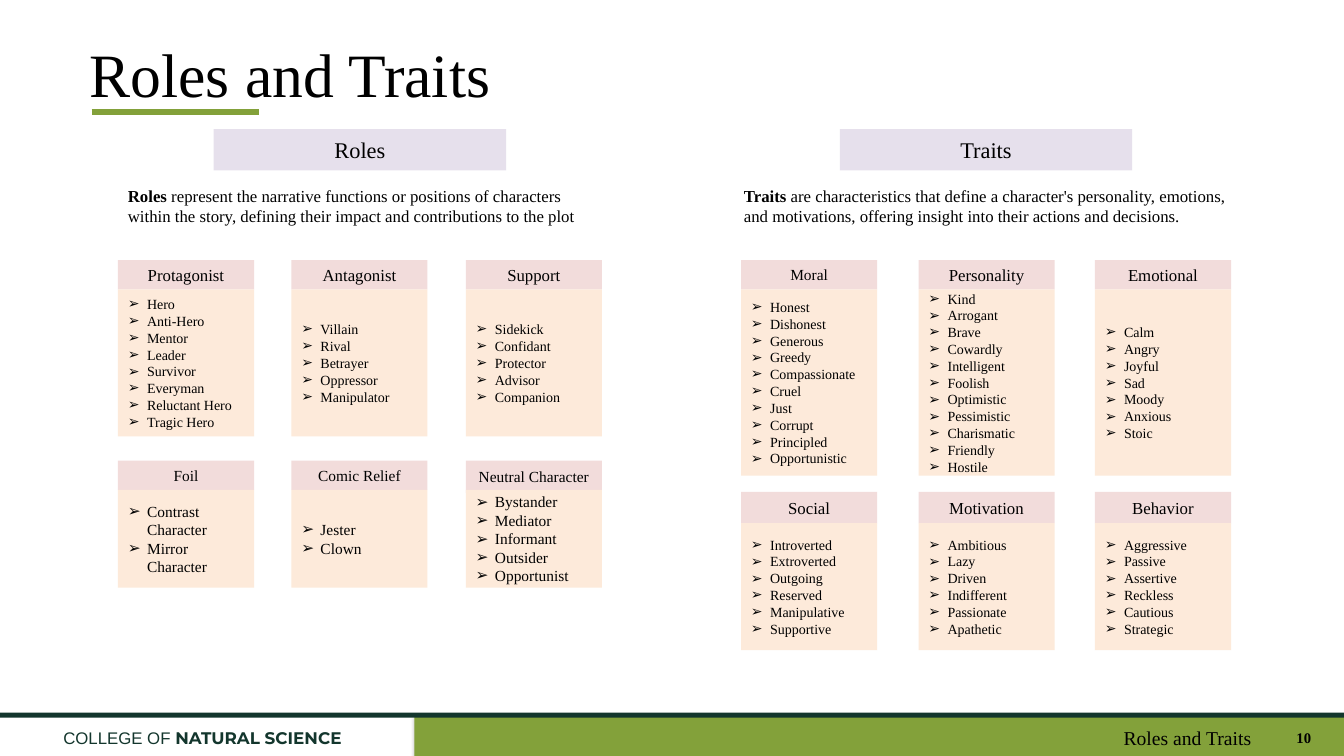
from dataclasses import dataclass

from lxml import etree
from pptx import Presentation
from pptx import util as u
from pptx.dml.color import RGBColor
from pptx.enum import shapes, text
from pptx.oxml import parse_xml
from pptx.oxml.ns import nsdecls, qn
from pptx.shapes.autoshape import Shape
from pptx.text.text import _Paragraph as Paragraph

PX = 9144  # EMU, 100 px to the inch

BLACK = RGBColor(0x00, 0x00, 0x00)
GREEN = RGBColor(0x83, 0xA1, 0x3A)
DARK_GREEN = RGBColor(0x13, 0x36, 0x2D)
LILAC = RGBColor(0xE6, 0xE0, 0xEC)
ROSE = RGBColor(0xF2, 0xDC, 0xDB)
PEACH = RGBColor(0xFD, 0xEA, 0xDA)

SERIF = "Times New Roman"
LEFT, CENTER, RIGHT = text.PP_ALIGN.LEFT, text.PP_ALIGN.CENTER, text.PP_ALIGN.RIGHT
TOP, MIDDLE = text.MSO_ANCHOR.TOP, text.MSO_ANCHOR.MIDDLE
CARD_WIDTH = 135
BULLET_INDENT = 19

Box = tuple[int, int, int, int]


@dataclass(frozen=True)
class Card:
    title: str
    items: str
    title_size: int = 12
    item_size: int = 10
    head_extra: int = 0


@dataclass(frozen=True)
class Row:
    top: int
    head: int
    body: int
    cards: tuple[Card, ...]


@dataclass(frozen=True)
class Section:
    name: str
    definition: str
    banner_left: int
    definition_box: Box
    first_left: int
    last_left: int
    rows: tuple[Row, ...]


SECTIONS = (
    Section(
        "Roles",
        " represent the narrative functions or positions of characters within the story, "
        "defining their impact and contributions to the plot",
        212, (117, 179, 480, 50), 117, 462,
        (
            Row(258, 29, 146, (
                Card("Protagonist", "Hero|Anti-Hero|Mentor|Leader|Survivor|Everyman|"
                     "Reluctant Hero|Tragic Hero"),
                Card("Antagonist", "Villain|Rival|Betrayer|Oppressor|Manipulator"),
                Card("Support", "Sidekick|Confidant|Protector|Advisor|Companion"),
            )),
            Row(457, 29, 97, (
                Card("Foil", "Contrast Character|Mirror Character", 11, 11),
                Card("Comic Relief", "Jester|Clown", 11, 11),
                Card("Neutral Character", "Bystander|Mediator|Informant|Outsider|Opportunist",
                     11, 11, head_extra=3),
            )),
        ),
    ),
    Section(
        "Traits",
        " are characteristics that define a character's personality, emotions, and "
        "motivations, offering insight into their actions and decisions.",
        833, (728, 179, 500, 71), 735, 1086,
        (
            Row(258, 29, 185, (
                Card("Moral", "Honest|Dishonest|Generous|Greedy|Compassionate|Cruel|Just|"
                     "Corrupt|Principled|Opportunistic", 11),
                Card("Personality", "Kind|Arrogant|Brave|Cowardly|Intelligent|Foolish|"
                     "Optimistic|Pessimistic|Charismatic|Friendly|Hostile"),
                Card("Emotional", "Calm|Angry|Joyful|Sad|Moody|Anxious|Stoic"),
            )),
            Row(488, 31, 126, (
                Card("Social", "Introverted|Extroverted|Outgoing|Reserved|Manipulative|"
                     "Supportive"),
                Card("Motivation", "Ambitious|Lazy|Driven|Indifferent|Passionate|Apathetic"),
                Card("Behavior", "Aggressive|Passive|Assertive|Reckless|Cautious|Strategic"),
            )),
        ),
    ),
)

deck = Presentation()
deck.slide_width, deck.slide_height = u.Inches(13.33), u.Inches(7.5)
page = deck.slides.add_slide(deck.slide_layouts[6])


def emu(box: Box) -> list[u.Emu]:
    return [u.Emu(length * PX) for length in box]


def add_span(para: Paragraph, words: str, *, size: float, font: str = SERIF,
             color: RGBColor = BLACK, bold: bool = False) -> None:
    span = para.add_run()
    span.text = words
    span.font.size, span.font.name, span.font.bold = u.Pt(size), font, bold
    span.font.color.rgb = color


def add_rect(box: Box, fill: RGBColor) -> Shape:
    rect = page.shapes.add_shape(shapes.MSO_SHAPE.RECTANGLE, *emu(box))
    rect.shadow.inherit = False
    rect.fill.solid()
    rect.fill.fore_color.rgb = fill
    rect.line.fill.background()
    return rect


def add_text_box(box: Box, *, align: text.PP_ALIGN = LEFT, anchor: text.MSO_ANCHOR = TOP,
                 tight: bool = False) -> Paragraph:
    """Add a wrapping text box and return its empty first paragraph."""
    frame = page.shapes.add_textbox(*emu(box)).text_frame
    frame.word_wrap = True
    frame.vertical_anchor = anchor
    if tight:
        frame.margin_left = frame.margin_right = 4 * PX
        frame.margin_top = frame.margin_bottom = 2 * PX
    para = frame.paragraphs[0]
    para.alignment = align
    return para


def add_label(box: Box, fill: RGBColor, words: str, size: int) -> None:
    frame = add_rect(box, fill).text_frame
    frame.vertical_anchor = MIDDLE
    para = frame.paragraphs[0]
    para.alignment = CENTER
    add_span(para, words, size=size)


def add_bullets(box: Box, items: list[str], size: int) -> None:
    frame = add_rect(box, PEACH).text_frame
    frame.vertical_anchor = MIDDLE
    for index, item in enumerate(items):
        para = frame.add_paragraph() if index else frame.paragraphs[0]
        para.alignment = LEFT
        add_span(para, item, size=size)
        props = para._p.get_or_add_pPr()
        props.set("marL", str(BULLET_INDENT * PX))
        props.set("indent", str(-BULLET_INDENT * PX))
        etree.SubElement(props, qn("a:buFont"), typeface="Arial")
        etree.SubElement(props, qn("a:buChar"), char="➢")


def add_card(card: Card, row: Row, left: int) -> None:
    add_label((left, row.top, CARD_WIDTH, row.head + card.head_extra), ROSE,
              card.title, card.title_size)
    add_bullets((left, row.top + row.head, CARD_WIDTH, row.body),
                card.items.split("|"), card.item_size)


def add_section(section: Section) -> None:
    add_label((section.banner_left, 128, 290, 41), LILAC, section.name, 16)
    para = add_text_box(section.definition_box)
    add_span(para, section.name, size=12, bold=True)
    add_span(para, section.definition, size=12)
    for row in section.rows:
        pitch = (section.last_left - section.first_left) / (len(row.cards) - 1)
        for column, card in enumerate(row.cards):
            add_card(card, row, section.first_left + round(column * pitch))


def add_footer() -> None:
    band = add_rect((411, 709, 924, 43), GREEN)
    band._element.spPr.remove(band._element.spPr.find(qn("a:effectLst")))
    band._element.spPr.append(parse_xml(
        f'<a:effectLst {nsdecls("a")}><a:outerShdw blurRad="{u.Pt(3.1)}" '
        f'dist="{u.Pt(1.8)}" dir="5400000" rotWithShape="0"><a:srgbClr val="000000">'
        '<a:alpha val="35000"/></a:srgbClr></a:outerShdw></a:effectLst>'))
    add_rect((-3, 707, 1336, 5), DARK_GREEN)
    college = add_text_box((53, 717, 470, 30))
    add_span(college, "COLLEGE OF ", size=12, font="Arial", color=DARK_GREEN)
    add_span(college, "NATURAL SCIENCE", size=12, font="Montserrat", color=DARK_GREEN, bold=True)
    number = add_text_box((1265, 721, 43, 23), align=RIGHT, tight=True)
    add_span(number, "10 ", size=10.5, bold=True)
    topic = add_text_box((411, 712, 839, 40), align=RIGHT, anchor=MIDDLE, tight=True)
    add_span(topic, "Roles and Traits ", size=14)


def add_title() -> None:
    underline = page.shapes.add_connector(shapes.MSO_CONNECTOR.STRAIGHT,
                                          *emu((91, 111, 257, 111)))
    underline.line.color.rgb = GREEN
    underline.line.width = u.Pt(4.5)
    etree.SubElement(underline._element.spPr, qn("a:effectLst"))
    title = add_text_box((85, 25, 1200, 95), anchor=MIDDLE, tight=True)
    add_span(title, "Roles and Traits", size=44)


add_footer()
add_title()
for part in SECTIONS:
    add_section(part)
deck.save("out.pptx")
